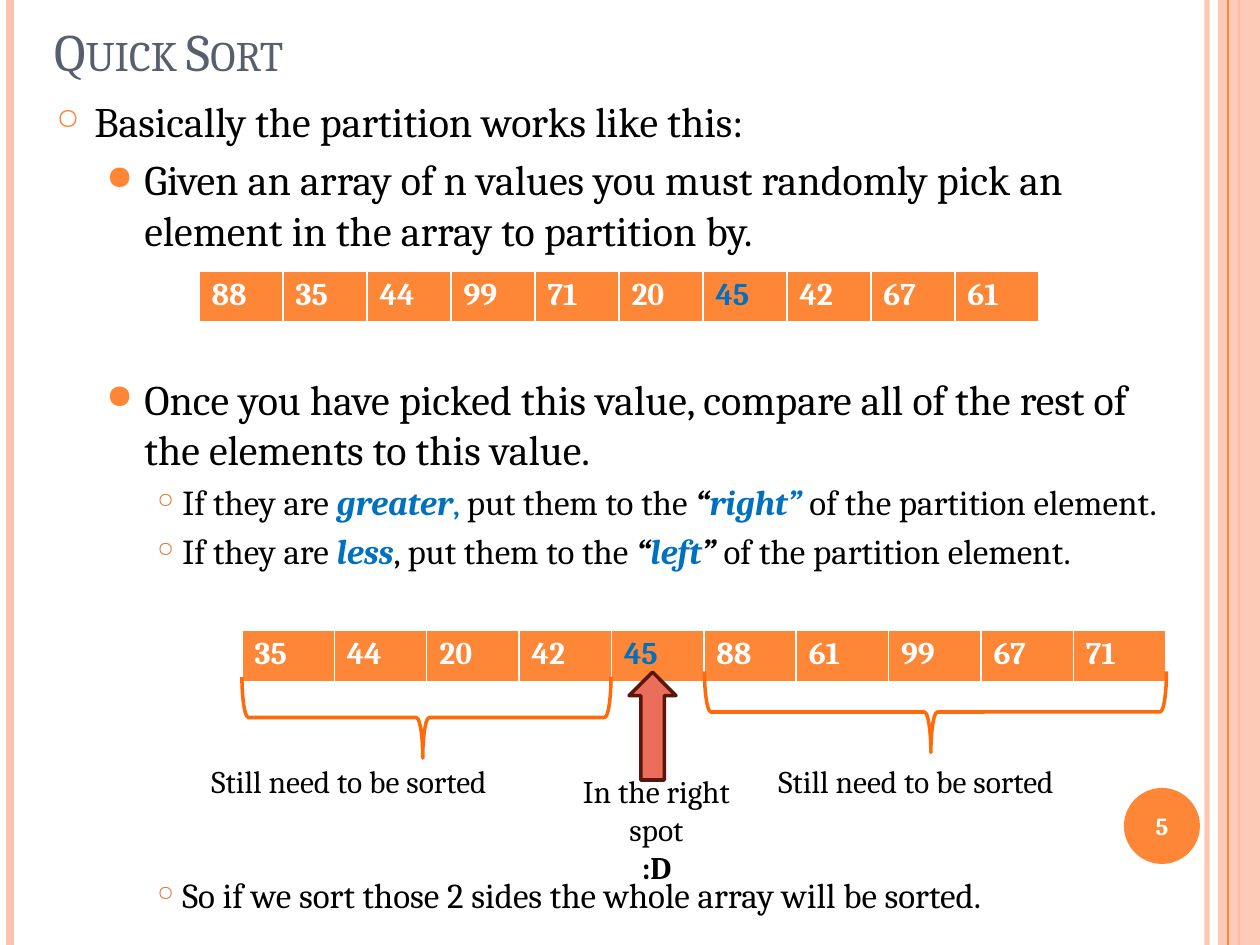
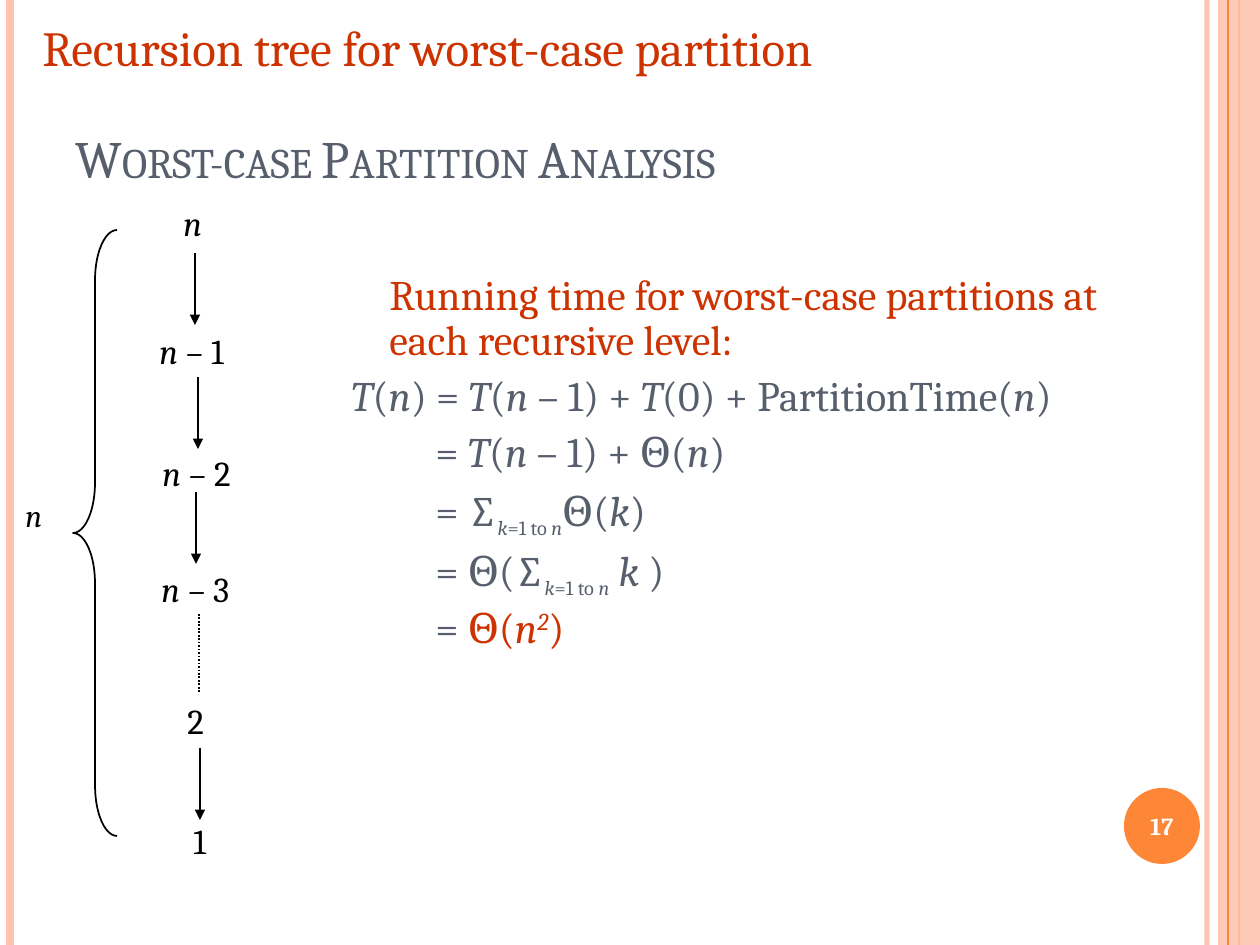
import pptx
import pptx.util
import pptx.dml.color
import pptx.enum.dml
import pptx.enum.shapes
import pptx.enum.text
import pptx.oxml
import pptx.oxml.ns

SCALE = 914400 / 126
WIDTH, HEIGHT = 1260, 945
FONT = "Cambria"
ORANGE, PEACH, SLATE = "FE8637", "FEC3AE", "575F6D"
BLACK, WHITE, BLUE, RED = "000000", "FFFFFF", "0070C0", "CC3300"
SHAPE = pptx.enum.shapes.MSO_SHAPE
ANCHOR = pptx.enum.text.MSO_ANCHOR
CENTER = pptx.enum.text.PP_ALIGN.CENTER
MARKS = {
    "*": {"italic": True},
    "~": {"bold": True},
    "|": {"color": BLUE},
    "!": {"color": RED},
    "_": {"baseline": -25000, "size": 20},
    "^": {"baseline": 30000},
}
BULLETS = [
    {"left": 38, "indent": -38, "before": 6, "bullet": ("○", ORANGE, 70)},
    {"left": 88, "indent": -38, "before": 4.8, "bullet": ("●", ORANGE, 80)},
    {"left": 126, "indent": -25, "before": 4, "bullet": ("○", "E07631", 60)},
]
BODY_SIZES = [24, 24, 20]


def px(n):
    """Turn a length in px into EMU."""
    return pptx.util.Emu(round(n * SCALE))


def rgb(value):
    """Turn a hex string into a colour."""
    return pptx.dml.color.RGBColor.from_string(value)


def sub(parent, tag, **attrs):
    """Append a DrawingML child with the given attributes."""
    el = pptx.oxml.parse_xml(f"<a:{tag} {pptx.oxml.ns.nsdecls('a')}/>")
    for key, value in attrs.items():
        el.set(key, str(value))
    parent.append(el)
    return el


def set_alpha(sp, percent):
    """Make the colour of a shape's fill or line partly transparent."""
    for clr in sp._element.spPr.iter(pptx.oxml.ns.qn("a:srgbClr")):
        sub(clr, "alpha", val=percent * 1000)


def add_run(p, text, fmt):
    """Add one run and set its format values."""
    r = p.add_run()
    r.text = text
    fmt = dict(fmt)
    r.font.color.rgb = rgb(fmt.pop("color", BLACK))
    r.font.size = pptx.util.Pt(fmt.pop("size", 18))
    for key in ("cap", "baseline"):
        if key in fmt:
            r._r.get_or_add_rPr().set(key, str(fmt.pop(key)))
    for key, value in {"name": FONT, **fmt}.items():
        setattr(r.font, key, value)


def write(p, text, **fmt):
    """Write marked-up text, each mark switching a format on or off."""
    active, piece = [], ""
    for ch in text + "\0":
        if ch not in MARKS and ch != "\0":
            piece += ch
            continue
        if piece:
            styles = dict(fmt)
            for mark in active:
                styles.update(MARKS[mark])
            add_run(p, piece, styles)
        piece = ""
        if ch in active:
            active.remove(ch)
        else:
            active.append(ch)


def layout(p, left=0, indent=0, before=0, spacing=None, bullet=None):
    """Set the indents, spacing and bullet of a paragraph."""
    p.space_before = pptx.util.Pt(before)
    if spacing:
        p.line_spacing = spacing
    pPr = p._p.get_or_add_pPr()
    pPr.set("marL", str(px(left)))
    pPr.set("indent", str(px(indent)))
    if bullet:
        char, color, percent = bullet
        sub(sub(pPr, "buClr"), "srgbClr", val=color)
        sub(pPr, "buSzPct", val=percent * 1000)
        sub(pPr, "buChar", char=char)


def add_text(s, box, lines, wrap=True, anchor=ANCHOR.TOP, align=None, **fmt):
    """Add a text box; a line is marked-up text or a (text, format, layout) tuple."""
    tf = s.shapes.add_textbox(*map(px, box)).text_frame
    tf.word_wrap = wrap
    tf.vertical_anchor = anchor
    for i, line in enumerate(lines):
        text, extra, place = (line, {}, {}) if isinstance(line, str) else line
        p = tf.add_paragraph() if i else tf.paragraphs[0]
        p.alignment = align
        if place:
            layout(p, **place)
        write(p, text, **{**fmt, **extra})


def add_bullets(s, box, items):
    """Add a text box of (level, text) bullets."""
    add_text(s, box, [(text, {"size": BODY_SIZES[lvl]}, BULLETS[lvl]) for lvl, text in items])


def add_title(s, box, text):
    """Add a small-caps slide title."""
    add_text(s, box, [text], anchor=ANCHOR.BOTTOM, size=30, color=SLATE, cap="small")


def add_line(s, start, end, color, width, dash=None, arrow=False):
    """Add a straight line, with an arrowhead at its end if asked."""
    sp = s.shapes.add_connector(
        pptx.enum.shapes.MSO_CONNECTOR.STRAIGHT, *map(px, start + end))
    sp.line.color.rgb = rgb(color)
    sp.line.width = pptx.util.Pt(width)
    if dash:
        sp.line.dash_style = dash
    if arrow:
        sub(sp._element.spPr.find(pptx.oxml.ns.qn("a:ln")), "tailEnd", type="triangle")
    sub(sp._element.spPr, "effectLst")
    return sp


def add_shape(s, kind, box, fill=None, line=None, width=1, rotation=0, adjust=()):
    """Add a preset shape without a shadow."""
    sp = s.shapes.add_shape(kind, *map(px, box))
    sp.shadow.inherit = False
    sp.rotation = rotation
    for i, value in enumerate(adjust):
        sp.adjustments[i] = value
    if fill:
        sp.fill.solid()
        sp.fill.fore_color.rgb = rgb(fill)
    else:
        sp.fill.background()
    if line:
        sp.line.color.rgb = rgb(line)
        sp.line.width = pptx.util.Pt(width)
    else:
        sp.line.fill.background()
    return sp


def add_array(s, box, values, pivot):
    """Add a one-row table of array values with the pivot in blue."""
    table = s.shapes.add_table(1, len(values), *map(px, box)).table
    table.horz_banding = False
    for cell, value in zip(table.iter_cells(), values):
        write(cell.text_frame.paragraphs[0], str(value), bold=True,
              color=BLUE if value == pivot else WHITE)
        tcPr = cell._tc.get_or_add_tcPr()
        for tag, width in {"lnL": 1, "lnR": 1, "lnT": 1, "lnB": 3}.items():
            ln = sub(tcPr, tag, w=pptx.util.Pt(width))
            sub(sub(ln, "solidFill"), "srgbClr", val=WHITE)
        cell.fill.solid()
        cell.fill.fore_color.rgb = rgb(ORANGE)


def new_slide(prs, number):
    """Add a blank slide with the side bands and the page number."""
    s = prs.slides.add_slide(prs.slide_layouts[6])
    bands = [(1207, PEACH, 3), (10, PEACH, 4.5), (1239, ORANGE, 1.5)]
    lines = [add_line(s, (x, 0), (x, HEIGHT), color, width) for x, color, width in bands]
    set_alpha(lines[0], 93)
    set_alpha(add_shape(s, SHAPE.RECTANGLE, (1218, 0, 42, HEIGHT), PEACH), 87)
    add_line(s, (1228, 0), (1228, HEIGHT), ORANGE, 0.75)
    tf = add_shape(s, SHAPE.OVAL, (1124, 788, 76, 76), ORANGE).text_frame
    for side in ("left", "right", "top", "bottom"):
        setattr(tf, f"margin_{side}", 0)
    tf.vertical_anchor = ANCHOR.MIDDLE
    tf.paragraphs[0].alignment = CENTER
    write(tf.paragraphs[0], str(number), size=14, bold=True, color=WHITE)
    return s


def quick_sort(prs):
    """Build the slide on how the partition works."""
    s = new_slide(prs, 5)
    add_title(s, (42, 0, 1128, 88), "Quick Sort")
    add_bullets(s, (44, 89, 1134, 175), [
        (0, "Basically the partition works like this:"),
        (1, "Given an array of n values you must randomly pick an element "
            "in the array to partition by."),
    ])
    add_bullets(s, (44, 367, 1134, 225), [
        (1, "Once you have picked this value, compare all of the rest of "
            "the elements to this value."),
        (2, "If they are |~*greater*~, |put them to the ~*“|right” |*~of the partition element."),
        (2, "If they are |~*less*~|, put them to the ~*“|left|” *~of the partition element."),
    ])
    add_bullets(s, (44, 867, 1134, 60), [
        (2, "So if we sort those 2 sides the whole array will be sorted."),
    ])
    add_array(s, (199, 271, 840, 52), [88, 35, 44, 99, 71, 20, 45, 42, 67, 61], 45)
    add_array(s, (242, 630, 924, 53), [35, 44, 20, 42, 45, 88, 61, 99, 67, 71], 45)
    for brace, label_x in [((386, 533, 81, 369), 199), ((895, 481, 81, 462), 766)]:
        add_shape(s, SHAPE.LEFT_BRACE, brace, line="FF6B0A", width=2, rotation=270,
                  adjust=(0.08, 0.49))
        add_text(s, (label_x, 756, 369, 50), ["Still need to be sorted"])
    add_shape(s, SHAPE.DOWN_ARROW, (629, 672, 47, 108), "EB6E5A", "5A160B", 2, 180)
    add_text(s, (557, 766, 199, 127), ["In the right spot", "~:D~"], align=CENTER)


def worst_case(prs):
    """Build the slide on the worst-case recursion tree."""
    s = new_slide(prs, 17)
    add_title(s, (63, 38, 1029, 157), "Worst-case Partition Analysis")
    equation = {"before": 6, "spacing": 0.9}
    step = {**equation, "left": 84}
    steps = [
        "= *T*(*n *– 1) + Θ(*n*)",
        "= ∑_*k*=1 to *n*_Θ(*k*)",
        "= Θ(∑_*k*=1 to *n*_ *k *)",
        "= !Θ(*n^2^*)!",
    ]
    add_text(s, (339, 268, 819, 444), [
        ("!Running time for worst-case partitions at each recursive level:!", {},
         {**equation, "left": 38}),
        ("*T*(*n*) = *T*(*n* – 1) + *T*(0) + PartitionTime(*n*)", {}, equation),
        *((text, {}, step) for text in steps),
    ], size=24, color=SLATE)
    levels = [
        ("*n*", 171, 195, 43), ("*n – *1", 147, 323, 105), ("*n – *2", 150, 445, 105),
        ("*n – *3", 149, 561, 105), ("2", 175, 693, 43), ("1", 181, 813, 43),
    ]
    for text, x, y, w in levels:
        add_text(s, (x, y, w, 54), [text], wrap=False, size=20)
    for x, y in [(195, 253), (198, 377), (196, 492), (200, 748)]:
        add_line(s, (x, y), (x, y + 72), BLACK, 1, arrow=True)
    add_line(s, (199, 614), (199, 692), BLACK, 1, dash=pptx.enum.dml.MSO_LINE.ROUND_DOT)
    add_shape(s, SHAPE.LEFT_BRACE, (73, 230, 44, 606), line=BLACK, adjust=(1.15, 0.5))
    add_text(s, (13, 490, 47, 63), ["*n*"], wrap=False)
    add_text(s, (30, 11, 1009, 72), ["Recursion tree for worst-case partition"],
             size=28, color=RED)


def main():
    """Build both slides and save them."""
    prs = pptx.Presentation()
    prs.slide_width, prs.slide_height = px(WIDTH), px(HEIGHT)
    quick_sort(prs)
    worst_case(prs)
    prs.save("out.pptx")


if __name__ == "__main__":
    main()
